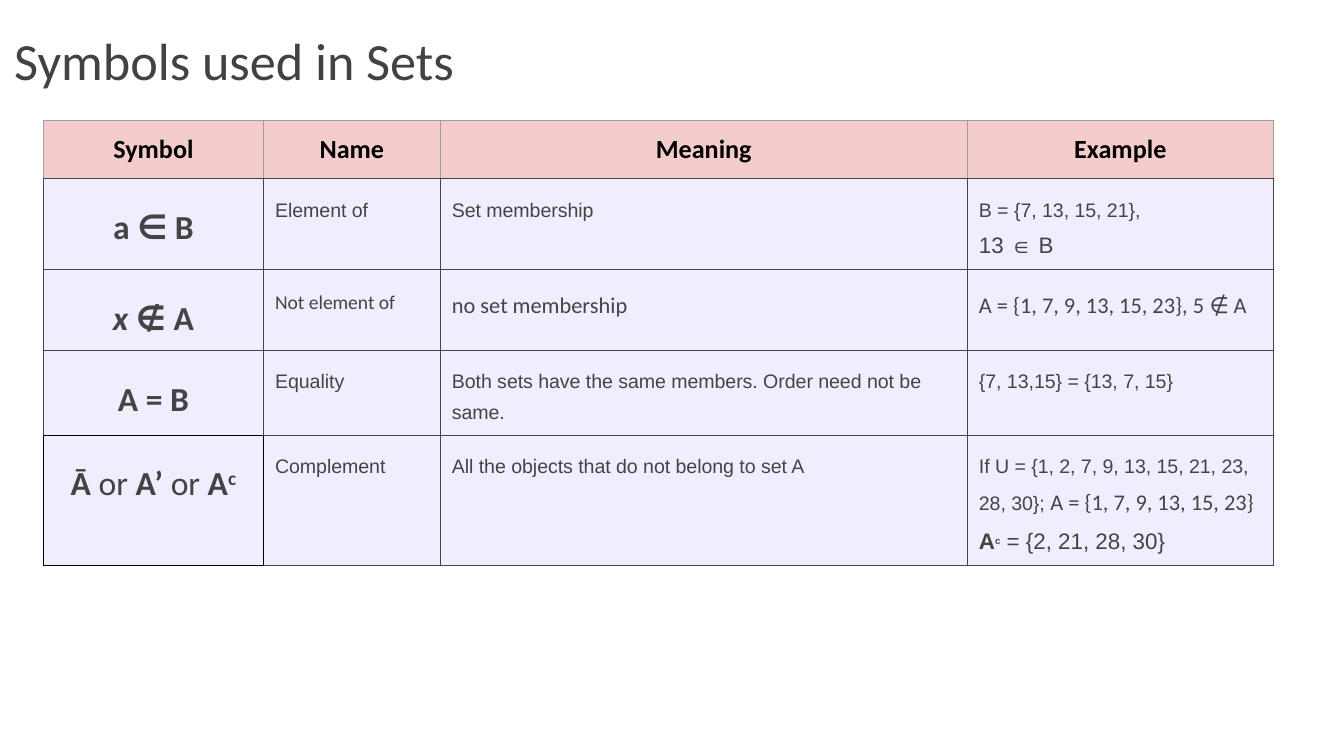
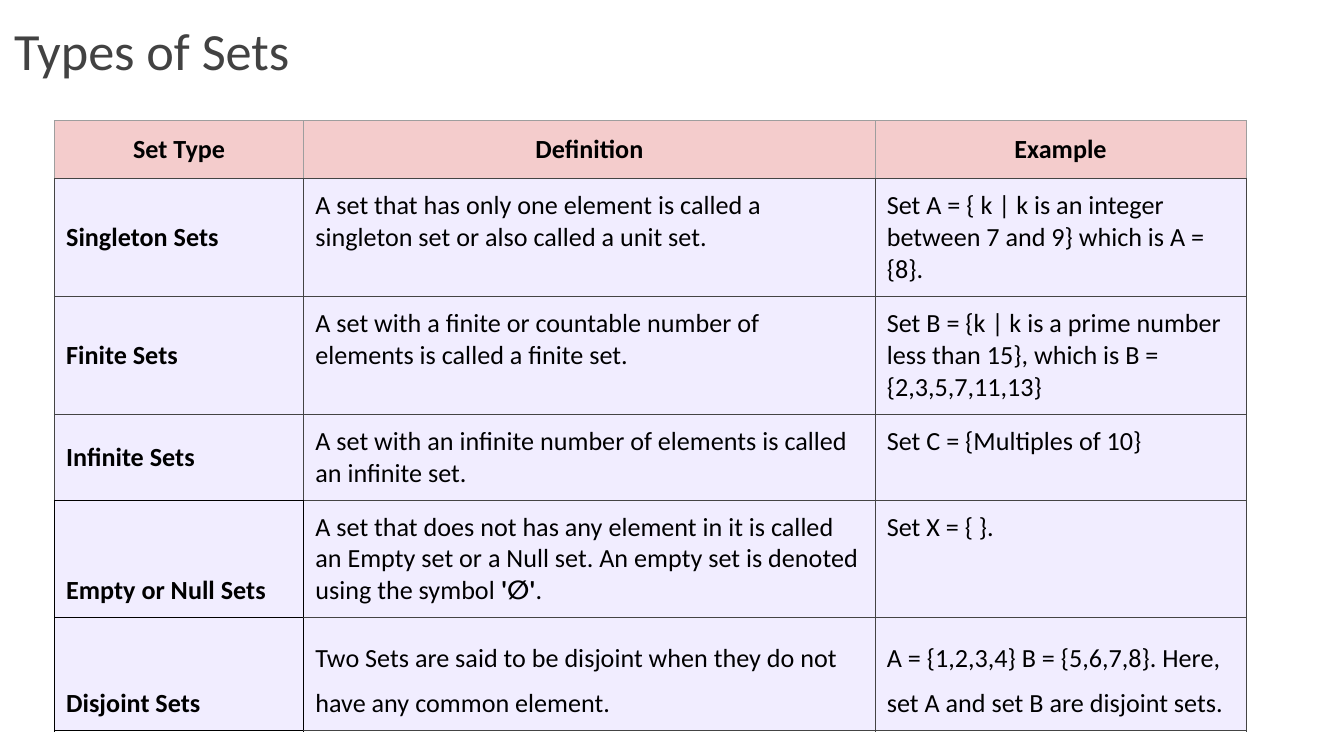
from lxml import etree
from pptx import Presentation
from pptx import util as u
from pptx.dml.color import RGBColor
from pptx.enum import shapes, text
from pptx.oxml import ns

COLORS = {
    "title": "424242", "header": "F4CCCC", "body": "F1EDFF", "black": "000000", "white": "FFFFFF",
    "header_line": "9E9E9E", "grey": "444444", "complement": "434343",
}
BASE = {"font": "Calibri", "size": 14, "bold": False, "italic": False, "color": "black", "raised": False}
STYLES = {
    "header": {"bold": True},
    "type": {"bold": True},
    "plain": {},
    "symbol": {"size": 18, "bold": True, "color": "grey"},
    "variable": {"size": 18, "bold": True, "italic": True, "color": "grey"},
    "complement": {"size": 18, "bold": True, "color": "complement"},
    "or": {"size": 18, "color": "complement"},
    "power": {"size": 18, "bold": True, "color": "complement", "raised": True},
    "small": {"font": "Arial", "size": 10.5, "color": "grey"},
    "small calibri": {"size": 10.5, "color": "grey"},
    "medium": {"font": "Arial", "size": 12, "color": "grey"},
    "medium calibri": {"size": 12, "color": "grey"},
    "medium bold": {"font": "Arial", "size": 12, "bold": True, "color": "grey"},
    "small power": {"font": "Arial", "size": 9, "bold": True, "color": "grey", "raised": True},
}

# A cell is a list of paragraphs, and a paragraph a list of (text, style) runs.
SYMBOL_ROWS = [
    [[[("a ∈ B", "symbol")]],
     [[("Element of", "small")]],
     [[("Set membership", "small")]],
     [[("B = {7, 13, 15, 21},", "small")], [("13 ∈ B", "medium")]]],
    [[[("x ", "variable"), ("∉ A", "symbol")]],
     [[("Not element of", "small calibri")]],
     [[("no set membership", "medium calibri")]],
     [[("A = {1, 7, 9, 13, 15, 23}, 5 ∉ A", "medium calibri")]]],
    [[[("A = B", "symbol")]],
     [[("Equality", "small")]],
     [[("Both sets have the same members. Order need not be same.", "small")]],
     [[("{7, 13,15} = {13, 7, 15}", "small")]]],
    [[[("Ā ", "complement"), ("or ", "or"), ("A’ ", "complement"), ("or", "or"),
       (" A", "complement"), ("c", "power")]],
     [[("Complement", "small")]],
     [[("All the objects that do not belong to set A", "small")]],
     [[("If U = {1, 2, 7, 9, 13, 15, 21, 23, 28, 30}; ", "small"),
       ("A = {1, 7, 9, 13, 15, 23}", "medium calibri")],
      [("A", "medium bold"), ("c", "small power"), (" = {2, 21, 28, 30}", "medium")]]],
]
TYPE_ROWS = [
    [[[("Singleton Sets", "type")]],
     [[("A set that has only one element is called a singleton set or also called a unit set.", "plain")]],
     [[("Set A = { k | k is an integer between 7 and 9} which is A = {8}.", "plain")]]],
    [[[("Finite Sets", "type")]],
     [[("A set with a finite or countable number of elements is called a finite set.", "plain")]],
     [[("Set B = {k | k is a prime number less than 15}, which is B = {2,3,5,7,11,13}", "plain")]]],
    [[[("Infinite Sets", "type")]],
     [[("A set with an infinite number of elements is called an infinite set.", "plain")]],
     [[("Set C = {Multiples of 10}", "plain")]]],
    [[[("Empty or Null Sets", "type")]],
     [[("A set that does not has any element in it is called an Empty set or a Null set. "
        "An empty set is denoted using the symbol ", "plain"), ("'∅'", "type"), (".", "plain")]],
     [[("Set X = { }.", "plain")]]],
    [[[("Disjoint Sets", "type")]],
     [[("Two Sets are said to be disjoint when they do not have any common element.", "plain")]],
     [[("A = {1,2,3,4} B = {5,6,7,8}. Here, set A and set B are disjoint sets.", "plain")]]],
]

# Lengths in cm; the first-column cells from black_from down have black borders.
SLIDES = [
    {"title": "Symbols used in Sets", "title_top": 0.38, "left": 0.82,
     "header": ["Symbol", "Name", "Meaning", "Example"], "rows": SYMBOL_ROWS,
     "widths": [4.16, 3.34, 9.96, 5.79], "height": 8.33,
     "black_from": 4, "spacing": lambda row, column: 1.43,
     "align": text.PP_ALIGN.CENTER, "anchors": {}},
    {"title": "Types of Sets", "title_top": 0.18, "left": 1.03,
     "header": ["Set Type", "Definition", "Example"], "rows": TYPE_ROWS,
     "widths": [4.71, 10.8, 7.01], "height": 11.35,
     "black_from": 4, "spacing": lambda row, column: 1.43 if row == 5 and column else None,
     "align": text.PP_ALIGN.LEFT,
     "anchors": {1: text.MSO_ANCHOR.MIDDLE, 2: text.MSO_ANCHOR.MIDDLE, 3: text.MSO_ANCHOR.MIDDLE,
                 4: text.MSO_ANCHOR.BOTTOM, 5: text.MSO_ANCHOR.BOTTOM}},
]
ROW_HEIGHT = 1.07


def rgb(name):
    return RGBColor.from_string(COLORS[name])


def add_title(slide, title, top):
    shape = slide.shapes.add_shape(
        shapes.MSO_SHAPE.RECTANGLE, u.Cm(0.02), u.Cm(top), u.Cm(24.08), u.Cm(1.6))
    shape.shadow.inherit = False
    shape.fill.solid()
    shape.fill.fore_color.rgb = rgb("white")
    shape.line.fill.background()
    frame = shape.text_frame
    frame.word_wrap = True
    frame.vertical_anchor = text.MSO_ANCHOR.BOTTOM
    frame.margin_left = frame.margin_right = frame.margin_top = frame.margin_bottom = u.Cm(0.25)
    frame.text = title
    paragraph = frame.paragraphs[0]
    paragraph.alignment = text.PP_ALIGN.LEFT
    paragraph.line_spacing = 1.15
    paragraph.space_after = u.Pt(16)
    font = paragraph.runs[0].font
    font.name, font.size = "Calibri", u.Pt(28)
    font.color.rgb = rgb("title")


def fill_cell(cell, paragraphs, align, spacing, side_margin, end_margin):
    cell.margin_left = cell.margin_right = u.Cm(side_margin)
    cell.margin_top = cell.margin_bottom = u.Cm(end_margin)
    for index, runs in enumerate(paragraphs):
        frame = cell.text_frame
        paragraph = frame.add_paragraph() if index else frame.paragraphs[0]
        paragraph.alignment = align
        if spacing:
            paragraph.line_spacing = 1.5 if index else spacing
        for words, style_name in runs:
            style = {**BASE, **STYLES[style_name]}
            run = paragraph.add_run()
            run.text = words
            font = run.font
            font.name, font.size = style["font"], u.Pt(style["size"])
            font.bold, font.italic = style["bold"], style["italic"]
            font.color.rgb = rgb(style["color"])
            if style["raised"]:
                font._element.set("baseline", "30000")


def set_borders(cell, colors):
    """Draw the left, right, top and bottom borders in the named colours."""
    properties = cell._tc.get_or_add_tcPr()
    for side, color in zip("LRTB", colors):
        width = 0.75 if color == "header_line" else 0.68
        line = etree.SubElement(properties, ns.qn(f"a:ln{side}"), w=str(u.Pt(width)))
        solid = etree.SubElement(line, ns.qn("a:solidFill"))
        etree.SubElement(solid, ns.qn("a:srgbClr"), val=COLORS[color])


def border_colors(row, column, black_from):
    if row == 0:
        return ["header_line"] * 3 + ["grey"]
    if row >= black_from and column == 0:
        return ["black"] * 4
    left = "black" if row >= black_from and column == 1 else "grey"
    bottom = "black" if row == black_from - 1 and column == 0 else "grey"
    return [left, "grey", "grey", bottom]


def add_set_table(slide, content):
    widths = content["widths"]
    header = [[[(label, "header")]] for label in content["header"]]
    rows = [header] + content["rows"]
    shape = slide.shapes.add_table(
        len(rows), len(widths), u.Cm(content["left"]), u.Cm(2.28),
        u.Cm(sum(widths)), u.Cm(content["height"]))
    table = shape.table
    table.first_row = table.horz_banding = False
    for column, width in zip(table.columns, widths):
        column.width = u.Cm(width)
    for table_row in table.rows:
        table_row.height = u.Cm(ROW_HEIGHT)
    shape.height = u.Cm(content["height"])
    for row, cells in enumerate(rows):
        for column, paragraphs in enumerate(cells):
            cell = table.cell(row, column)
            if row == 0:
                fill_cell(cell, paragraphs, text.PP_ALIGN.CENTER, None, 0.25, 0.25)
            else:
                align = text.PP_ALIGN.LEFT if column else content["align"]
                fill_cell(cell, paragraphs, align, content["spacing"](row, column), 0.22, 0.21)
            if column == 0 and row in content["anchors"]:
                cell.vertical_anchor = content["anchors"][row]
            set_borders(cell, border_colors(row, column, content["black_from"]))
            cell.fill.solid()
            cell.fill.fore_color.rgb = rgb("body" if row else "header")


def main():
    presentation = Presentation()
    presentation.slide_width, presentation.slide_height = u.Cm(25.4), u.Cm(14.29)
    for content in SLIDES:
        slide = presentation.slides.add_slide(presentation.slide_layouts[6])
        add_title(slide, content["title"], content["title_top"])
        add_set_table(slide, content)
    presentation.save("out.pptx")


if __name__ == "__main__":
    main()
